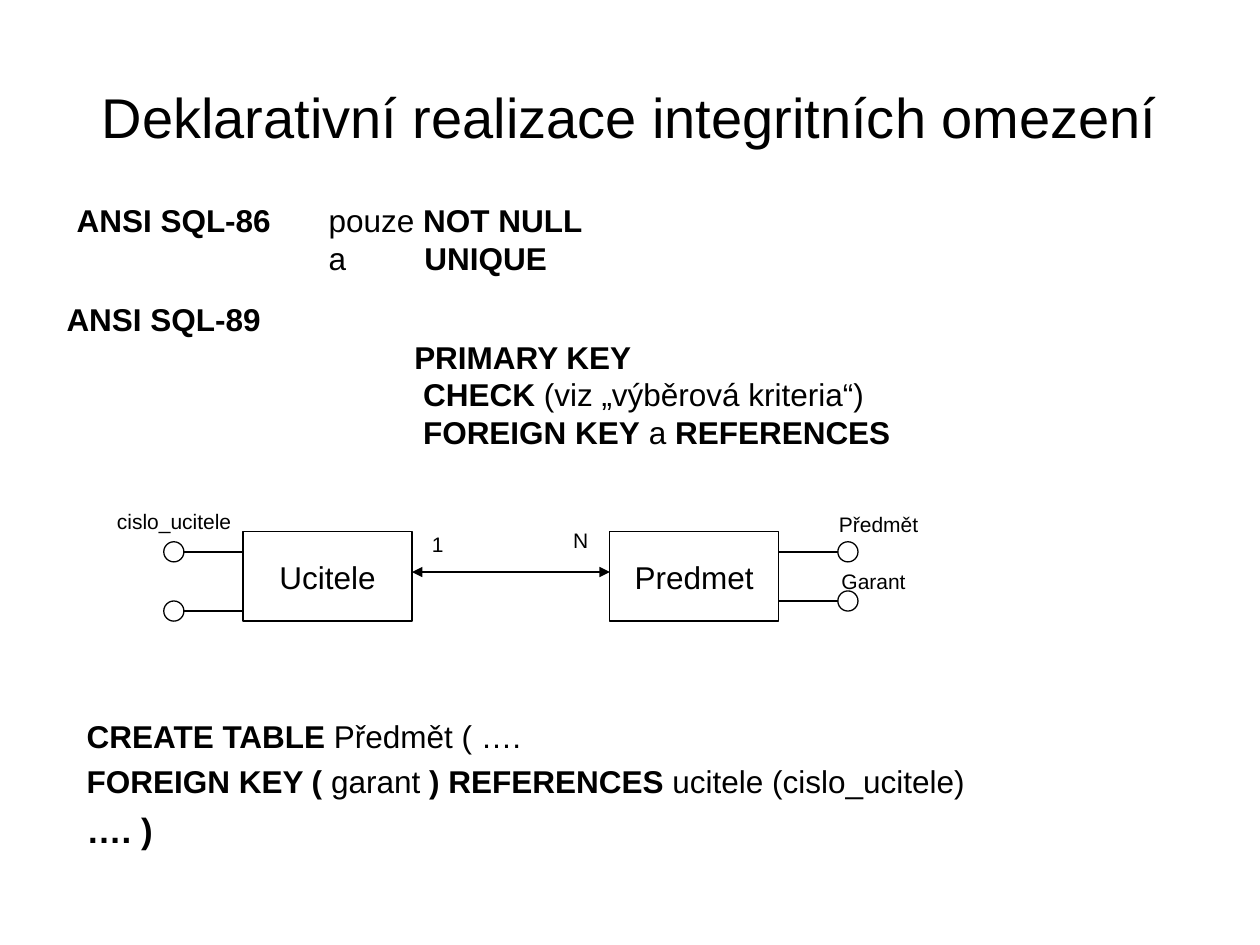
from pptx import Presentation
from pptx.dml.color import RGBColor
from pptx.enum.shapes import MSO_CONNECTOR, MSO_SHAPE
from pptx.enum.text import MSO_ANCHOR, PP_ALIGN
from pptx.oxml.ns import qn
from pptx.util import Inches, Pt
from lxml.etree import SubElement

BLACK = RGBColor(0, 0, 0)
WHITE = RGBColor(255, 255, 255)

deck = Presentation()
deck.slide_width, deck.slide_height = Inches(10), Inches(7.5)
slide = deck.slides.add_slide(deck.slide_layouts[6])
shapes = slide.shapes


def write(text, at=None, shape=None, size=18, align=PP_ALIGN.LEFT,
          anchor=MSO_ANCHOR.TOP, wrap=True, before=0, tabs=(), indents=()):
    """Write lines of text; each * switches bold on or off."""
    if shape is None:
        shape = shapes.add_textbox(*map(Inches, at))
    frame = shape.text_frame
    frame.word_wrap = wrap
    frame.vertical_anchor = anchor
    for i, line in enumerate(text.split("\n")):
        para = frame.add_paragraph() if i else frame.paragraphs[0]
        para.alignment = align
        props = para._p.get_or_add_pPr()
        if indents:
            props.set("marL", str(Inches(indents[i])))
        if tabs:
            stops = SubElement(props, qn("a:tabLst"))
            for tab in tabs:
                SubElement(stops, qn("a:tab"), pos=str(Inches(tab)), algn="l")
        if i and before:
            para.space_before = Pt(before)
        for j, part in enumerate(line.split("*")):
            if part:
                run = para.add_run()
                run.text = part
                font = run.font
                font.name, font.size, font.bold = "Arial", Pt(size), j % 2 == 1
                font.color.rgb = BLACK
    return frame


def draw(*at, kind=None):
    """Add a white shape, or without a kind a line from point to point."""
    at = map(Inches, at)
    if kind is None:
        item = shapes.add_connector(MSO_CONNECTOR.STRAIGHT, *at)
        SubElement(item._element.spPr, qn("a:effectLst"))
    else:
        item = shapes.add_shape(kind, *at)
        item.shadow.inherit = False
        item.fill.solid()
        item.fill.fore_color.rgb = WHITE
    item.line.color.rgb = BLACK
    item.line.width = Pt(0.75)
    return item


# Title
write("Deklarativní realizace integritních omezení", at=(0.5, 0.3, 9, 1.25),
      size=32, align=PP_ALIGN.CENTER, anchor=MSO_ANCHOR.MIDDLE)

# Standards
write("*ANSI SQL-86*\tpouze *NOT NULL*\n\ta\t*UNIQUE*",
      at=(0.51, 1.55, 4.99, 0.7), tabs=(2, 2.76))
write("*ANSI SQL-89*\n*PRIMARY KEY*\n*CHECK* (viz „výběrová kriteria“)\n"
      "*FOREIGN KEY* a *REFERENCES*",
      at=(0.43, 2.33, 6.74, 1.3), indents=(0, 2.76, 2.83, 2.83))

# Entities
for name, x in (("Ucitele", 1.93), ("Predmet", 4.84)):
    box = draw(x, 4.22, 1.34, 0.71, kind=MSO_SHAPE.RECTANGLE)
    write(name, shape=box, align=PP_ALIGN.CENTER, anchor=MSO_ANCHOR.MIDDLE)

# Relation, with an arrowhead at both ends
link = draw(3.27, 4.54, 4.84, 4.54)
stroke = link._element.spPr.find(qn("a:ln"))
for end in ("a:headEnd", "a:tailEnd"):
    SubElement(stroke, qn(end), type="triangle")

# Attributes: line from x1 to x2, then a circle on its outer end
DOT = 0.16
for x1, x2, left, y in ((1.93, 1.38, 1.3, 4.38), (1.93, 1.38, 1.3, 4.85),
                        (6.18, 6.65, 6.65, 4.38), (6.18, 6.65, 6.65, 4.77)):
    draw(x1, y, x2, y)
    draw(left, y - DOT / 2, DOT, DOT, kind=MSO_SHAPE.OVAL)

# Labels
for label, x, y, wide in (("1", 3.33, 4.17, 0.29), ("N", 4.45, 4.14, 0.32),
                          ("cislo_ucitele", 0.83, 3.99, 1.11),
                          ("Předmět", 6.56, 4.01, 0.83),
                          ("Garant", 6.58, 4.46, 0.71)):
    write(label, at=(x, y, wide, 0.3), size=12, wrap=False)

# SQL statement
code = write("*CREATE TABLE* Předmět ( ….\n"
             "*FOREIGN KEY (* garant *) REFERENCES* ucitele (cislo_ucitele)\n"
             "*…. )*", at=(0.59, 5.64, 8.03, 1.26), before=4.5)
code.paragraphs[-1].runs[0].font.size = Pt(20)

deck.save("out.pptx")
